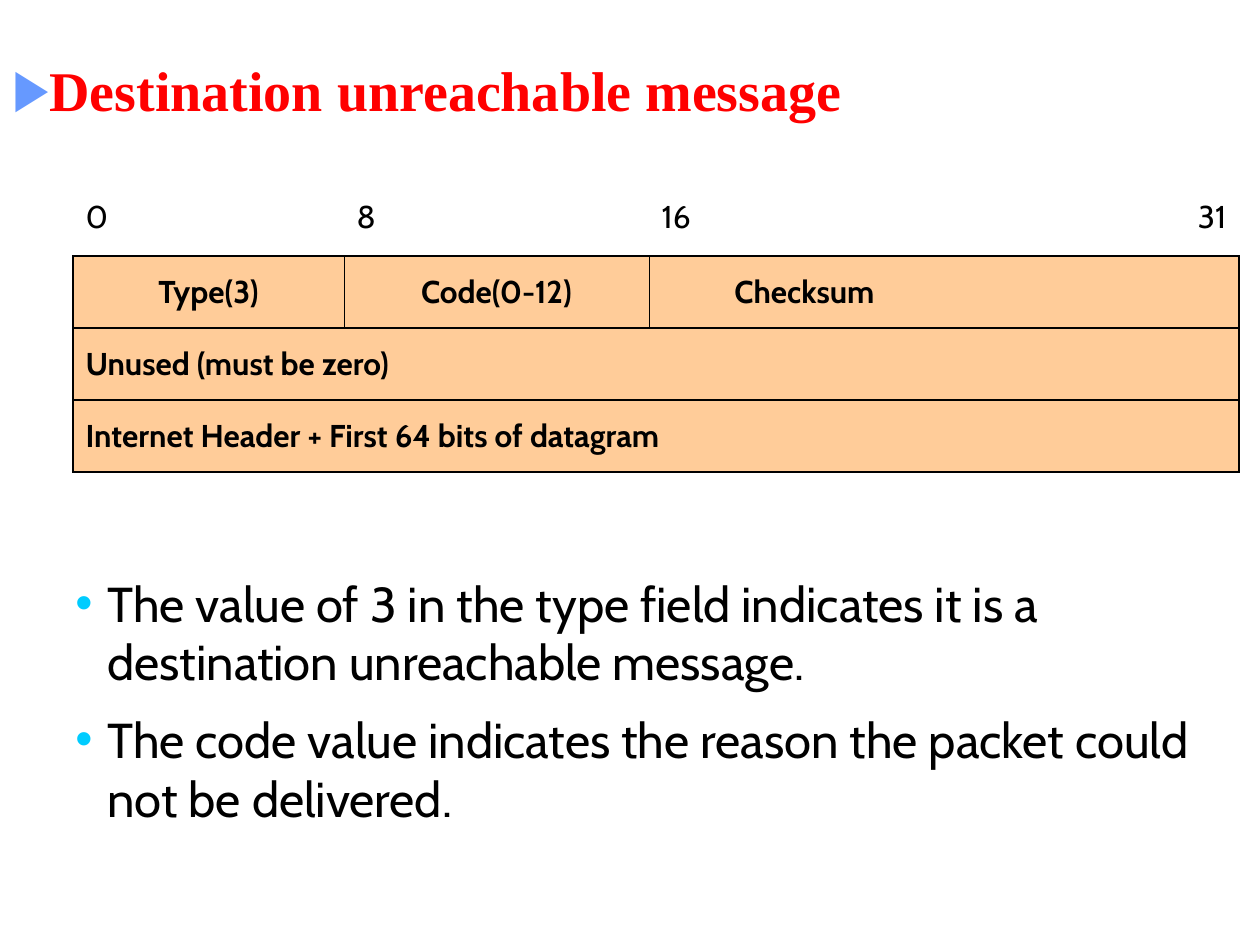
import pptx
import pptx.util
import pptx.dml.color
import pptx.enum.text
import pptx.oxml
import pptx.oxml.ns
from lxml import etree

COLORS = {"title": "FF0000", "arrow": "6699FF", "dot": "00CCFF",
          "text": "000000", "field": "FFCC99"}
ALIGN = pptx.enum.text.PP_ALIGN
MIDDLE = pptx.enum.text.MSO_ANCHOR.MIDDLE
OUTER, INNER = 1.08, 0.45


def px(length):
    return pptx.util.Emu(round(length * 914400 / 126))


def child(parent, tag, **attributes):
    return etree.SubElement(parent, pptx.oxml.ns.qn("a:" + tag), attributes)


class HeaderSlide:
    font = "Cabin"

    def __init__(self, presentation):
        self.slide = presentation.slides.add_slide(presentation.slide_layouts[6])

    def add_text(self, paragraph, text, size, color="text", bold=False, font=None):
        run = paragraph.add_run()
        run.text = text
        run.font.name = font or self.font
        run.font.size = pptx.util.Pt(size)
        run.font.bold = bold
        run.font.color.rgb = pptx.dml.color.RGBColor.from_string(COLORS[color])

    def bullet(self, paragraph, symbol, color, hanging=0):
        properties = paragraph._p.get_or_add_pPr()
        properties.set("marL", str(px(hanging)))
        properties.set("indent", str(-px(hanging)))
        child(child(properties, "buClr"), "srgbClr", val=COLORS[color])
        child(properties, "buFont", typeface="Arial")
        child(properties, "buChar", char=symbol)

    def text_box(self, left, top, width, height):
        shape = self.slide.shapes.add_textbox(px(left), px(top), px(width), px(height))
        shape.text_frame.word_wrap = True
        return shape.text_frame

    def title(self, text, *box):
        frame = self.text_box(*box)
        frame.vertical_anchor = MIDDLE
        paragraph = frame.paragraphs[0]
        self.bullet(paragraph, "▶", "arrow")
        self.add_text(paragraph, text, 32, "title", True, "Times New Roman")

    def bullets(self, lines, *box):
        frame = self.text_box(*box)
        for index, line in enumerate(lines):
            paragraph = frame.add_paragraph() if index else frame.paragraphs[0]
            self.bullet(paragraph, "•", "dot", 32)
            if index:
                paragraph.space_before = pptx.util.Pt(10.5)
            self.add_text(paragraph, line, 28)

    def borders(self, cell, widths):
        properties = cell._tc.get_or_add_tcPr()
        for index, (side, width) in enumerate(zip("LRTB", widths)):
            line = pptx.oxml.parse_xml(
                f'<a:ln{side} {pptx.oxml.ns.nsdecls("a")}/>')
            if width:
                line.set("w", str(pptx.util.Pt(width)))
                child(child(line, "solidFill"), "srgbClr", val=COLORS["text"])
            else:
                child(line, "noFill")
            properties.insert(index, line)

    def packet_table(self, rows, spans, left, top, widths, heights):
        table = self.slide.shapes.add_table(
            len(heights), len(widths), px(left), px(top),
            px(sum(widths)), px(sum(heights))).table
        table.first_row = table.horz_banding = False
        for column, width in zip(table.columns, widths):
            column.width = px(width)
        for row, height in zip(table.rows, heights):
            row.height = px(height)
        last = len(widths) - 1
        for r, texts in enumerate(rows):
            for c, text in enumerate(texts):
                cell = table.cell(r, c)
                cell.vertical_anchor = MIDDLE
                if r:
                    cell.fill.solid()
                    cell.fill.fore_color.rgb = pptx.dml.color.RGBColor.from_string(
                        COLORS["field"])
                else:
                    cell.fill.background()
                edge = OUTER if r else 0
                self.borders(cell, (
                    edge if c == 0 else INNER if r == 1 and c < last else 0,
                    edge if c == last else INNER if r == 1 and c < last - 1 else 0,
                    edge, OUTER))
                if text:
                    paragraph = cell.text_frame.paragraphs[0]
                    if r == 1:
                        paragraph.alignment = ALIGN.CENTER
                    elif r == 0 and c == last:
                        paragraph.alignment = ALIGN.RIGHT
                    self.add_text(paragraph, text, 18, bold=r > 0)
        for row, end in spans:
            table.cell(row, 0).merge(table.cell(row, end))


def main():
    presentation = pptx.Presentation()
    presentation.slide_width = px(1260)
    presentation.slide_height = px(945)
    slide = HeaderSlide(presentation)
    slide.title("Destination unreachable message", 0, 42, 1260, 94)
    slide.packet_table(
        [["0", "8", "16", "31"],
         ["Type(3)", "Code(0-12)", "Checksum", ""],
         ["Unused (must be zero)", "", "", ""],
         ["Internet Header + First 64 bits of datagram", "", "", ""]],
        [(2, 1), (3, 2)], 73, 179, [271, 305, 311, 279], [77, 72, 72, 72])
    slide.bullets(
        ["The value of 3 in the type field indicates it is a destination unreachable message.",
         "The code value indicates the reason the packet could not be delivered."],
        63, 567, 1207, 267)
    presentation.save("out.pptx")


if __name__ == "__main__":
    main()
